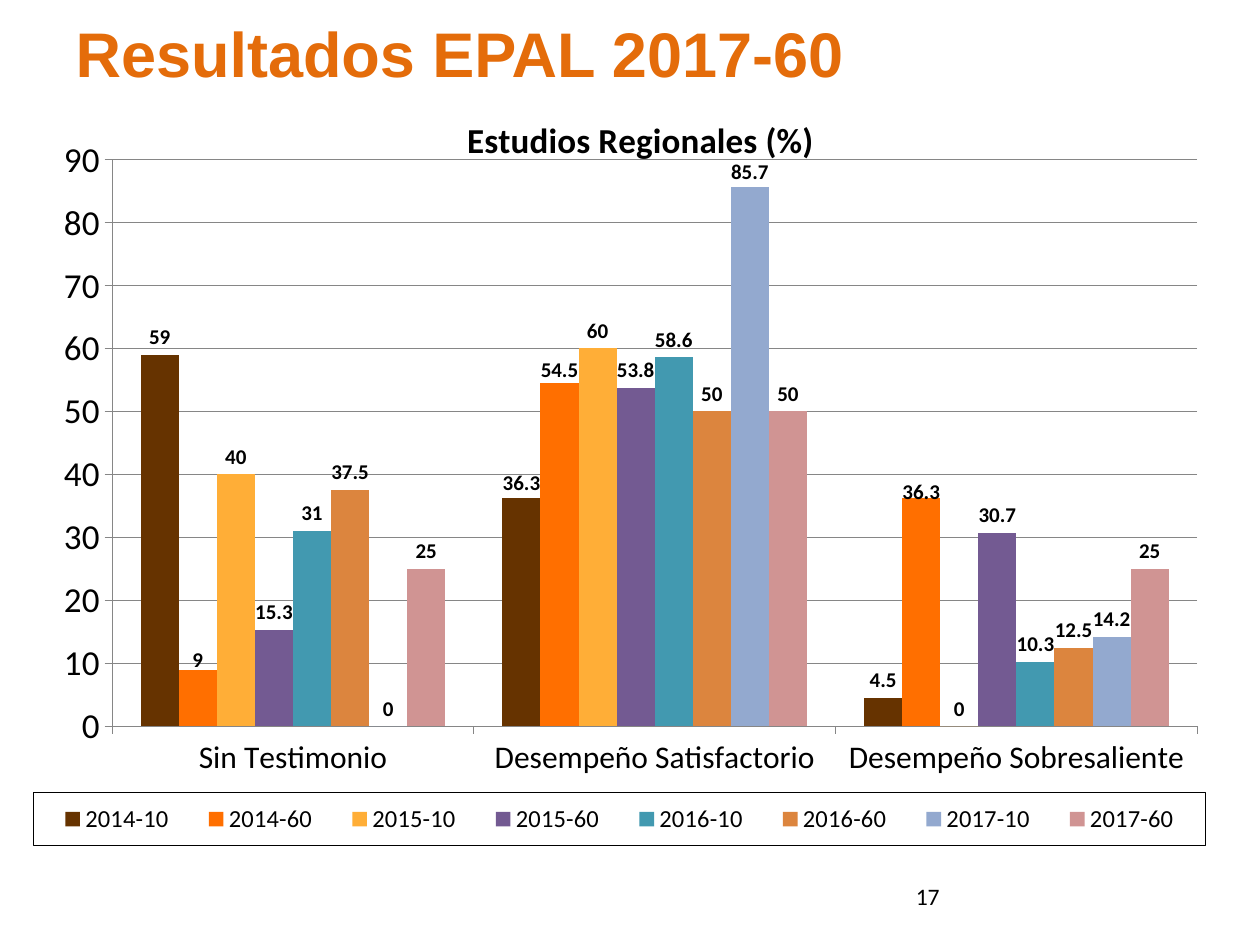
"""Build the EPAL results slide with its clustered column chart."""
from dataclasses import dataclass, field

from lxml import etree
from pptx import Presentation
from pptx.chart.data import CategoryChartData
from pptx.dml.color import RGBColor
from pptx.enum.chart import XL_CHART_TYPE, XL_LABEL_POSITION, XL_LEGEND_POSITION, XL_TICK_MARK
from pptx.enum.text import MSO_ANCHOR, PP_ALIGN
from pptx.oxml import parse_xml
from pptx.oxml.ns import nsdecls, qn
from pptx.util import Inches, Pt

COLUMNS = XL_CHART_TYPE.COLUMN_CLUSTERED
OUTSIDE_END = XL_LABEL_POSITION.OUTSIDE_END
BOTTOM = XL_LEGEND_POSITION.BOTTOM
TICK_OUT, TICK_NONE = XL_TICK_MARK.OUTSIDE, XL_TICK_MARK.NONE
LEFT, MIDDLE = PP_ALIGN.LEFT, MSO_ANCHOR.MIDDLE


@dataclass(frozen=True)
class Theme:
    """Fonts, colours and type sizes."""
    heading_font: str = "Arial"
    body_font: str = "Calibri"
    heading: str = "E46C0A"
    ink: str = "000000"
    axis: str = "868686"
    heading_size: float = 36
    chart_title_size: float = 20
    value_size: float = 20
    category_size: float = 18
    legend_size: float = 14
    number_size: float = 13.5
    label_size: float = 12


@dataclass(frozen=True)
class Term:
    """One school term: its results, colour and label shifts by point."""
    name: str
    values: tuple
    color: str
    shifts: dict = field(default_factory=dict)


THEME = Theme()
CATEGORIES = ("Sin Testimonio", "Desempeño Satisfactorio", "Desempeño Sobresaliente")
TERMS = (
    Term("2014-10", (59, 36.3, 4.5), "663300", {1: 0.004}),
    Term("2014-60", (9, 54.5, 36.3), "FF6F00", {0: 0.01, 1: 0.006, 2: 0.015}),
    Term("2015-10", (40, 60, 0), "FFAE37"),
    Term("2015-60", (15.3, 53.8, 30.7), "735A92"),
    Term("2016-10", (31, 58.6, 10.3), "4299B0"),
    Term("2016-60", (37.5, 50, 12.5), "DC853E"),
    Term("2017-10", (0, 85.7, 14.2), "93A9CF", {1: 0.004}),
    Term("2017-60", (25, 50, 25), "D09493"),
)


def style_font(font, size: float, color: str = THEME.ink,
               name: str = THEME.body_font, bold: bool = False) -> None:
    """Set the face, size, colour and weight of a font."""
    font.name, font.size, font.bold = name, Pt(size), bold
    font.color.rgb = RGBColor.from_string(color)


def set_layout(parent, index: int, **values) -> None:
    """Give a chart element a manual layout as its child at index."""
    for old in parent.findall(qn("c:layout")):
        parent.remove(old)
    layout = etree.Element(qn("c:layout"))
    manual = etree.SubElement(layout, qn("c:manualLayout"))
    for tag, value in values.items():
        etree.SubElement(manual, qn(f"c:{tag}")).set("val", str(value))
    parent.insert(index, layout)


def style_axis(axis, size: float) -> None:
    """Style the text, line and ticks of an axis."""
    style_font(axis.tick_labels.font, size)
    axis.format.line.color.rgb = RGBColor.from_string(THEME.axis)
    axis.major_tick_mark, axis.minor_tick_mark = TICK_OUT, TICK_NONE


def style_series(series, term: Term) -> None:
    """Colour a series and label its columns."""
    series.format.fill.solid()
    series.format.fill.fore_color.rgb = RGBColor.from_string(term.color)
    labels = series.data_labels
    labels.show_value, labels.position = True, OUTSIDE_END
    style_font(labels.font, THEME.label_size, bold=True)
    for index, shift in term.shifts.items():
        label = series.points[index].data_label
        label.position = OUTSIDE_END
        style_font(label.font, THEME.label_size, bold=True)
        node = labels.element.xpath(f"c:dLbl[c:idx/@val='{index}']")[0] if hasattr(
            labels, "element") else series.format.element.xpath(
            f"c:dLbls/c:dLbl[c:idx/@val='{index}']")[0]
        set_layout(node, 1, x=0, y=shift)


def style_legend(chart) -> None:
    """Place a framed legend under the columns."""
    chart.has_legend = True
    legend = chart.legend
    legend.position, legend.include_in_layout = BOTTOM, False
    style_font(legend.font, THEME.legend_size)
    node = chart.element.xpath("c:chart/c:legend")[0]
    set_layout(node, 1, xMode="edge", yMode="edge", x=0, y=0.908, w=0.982, h=0.068)
    node.find(qn("c:txPr")).addprevious(parse_xml(
        f'<c:spPr {nsdecls("c", "a")}><a:ln w="9525"><a:solidFill>'
        f'<a:srgbClr val="{THEME.ink}"/></a:solidFill></a:ln></c:spPr>'))


def add_results_chart(slide) -> None:
    """Add the chart of results by level and term."""
    data = CategoryChartData()
    data.categories = CATEGORIES
    for term in TERMS:
        data.add_series(term.name, term.values)
    chart = slide.shapes.add_chart(COLUMNS, Inches(0.26), Inches(0.68),
                                   Inches(9.48), Inches(6.18), data).chart
    style_font(chart.font, 10)
    chart.has_title = True
    r = chart.chart_title.text_frame.paragraphs[0].add_run()
    r.text = "Estudios Regionales (%)"
    style_font(r.font, THEME.chart_title_size, bold=True)
    set_layout(chart.element.xpath("c:chart/c:title")[0], 1,
               xMode="edge", yMode="edge", x=0.358, y=0.03)
    set_layout(chart.element.xpath("c:chart/c:plotArea")[0], 0, layoutTarget="inner",
               xMode="edge", yMode="edge", x=0.066, y=0.095, w=0.909, h=0.728)
    style_axis(chart.category_axis, THEME.category_size)
    axis = chart.value_axis
    style_axis(axis, THEME.value_size)
    axis.minimum_scale, axis.maximum_scale, axis.major_unit = 0, 90, 10
    axis.major_gridlines.format.line.color.rgb = RGBColor.from_string(THEME.axis)
    plot = chart.plots[0]
    plot.gap_width, plot.overlap, plot.vary_by_categories = 150, 0, False
    for series, term in zip(plot.series, TERMS):
        style_series(series, term)
    style_legend(chart)


def add_title(slide) -> None:
    """Fill the title placeholder."""
    s = slide.shapes.title
    s.left, s.top, s.width, s.height = Inches(0.5), Inches(0), Inches(9), Inches(0.83)
    tf = s.text_frame
    tf.vertical_anchor = MIDDLE
    p = tf.paragraphs[0]
    p.alignment = LEFT
    r = p.add_run()
    r.text = "Resultados EPAL 2017-60"
    style_font(r.font, THEME.heading_size, THEME.heading, THEME.heading_font, True)


def add_page_number(slide) -> None:
    """Add the page number at the foot."""
    tf = slide.shapes.add_textbox(Inches(7.17), Inches(6.95),
                                  Inches(2.33), Inches(0.4)).text_frame
    tf.word_wrap = True
    r = tf.paragraphs[0].add_run()
    r.text = "17"
    style_font(r.font, THEME.number_size)


def main() -> None:
    """Build and save the slide."""
    prs = Presentation()
    prs.slide_width, prs.slide_height = Inches(10), Inches(7.5)
    slide = prs.slides.add_slide(prs.slide_layouts[5])
    add_title(slide)
    add_page_number(slide)
    add_results_chart(slide)
    prs.save("out.pptx")


if __name__ == "__main__":
    main()
